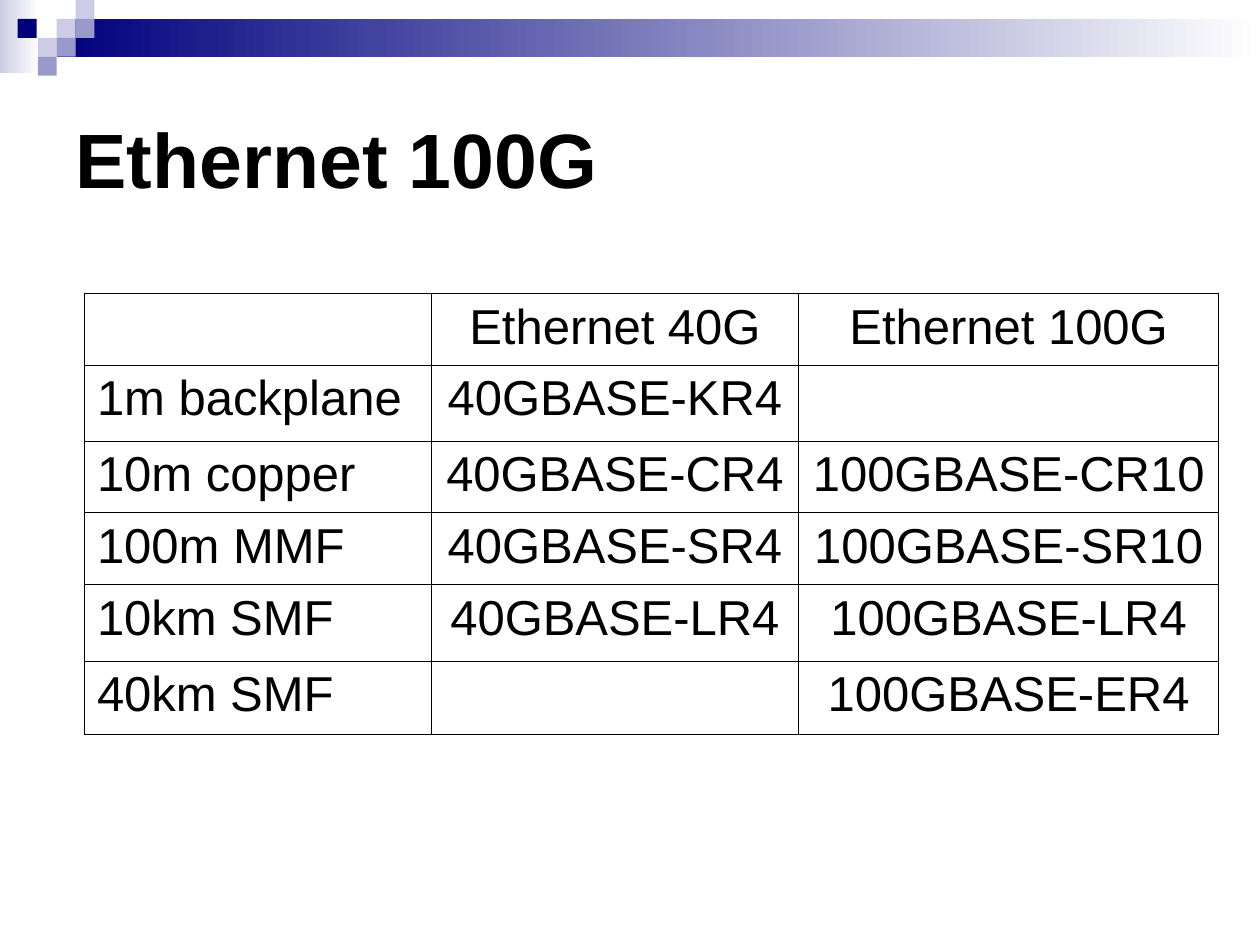
import pptx
import pptx.dml.color
import pptx.enum.shapes
import pptx.enum.text
import pptx.oxml
import pptx.oxml.ns
import pptx.util

Inches = pptx.util.Inches
Pt = pptx.util.Pt
Align = pptx.enum.text.PP_ALIGN
Anchor = pptx.enum.text.MSO_ANCHOR

NAVY, LAVENDER, PERIWINKLE = "00007D", "CCCCE6", "9999CC"
BLACK, WHITE = "000000", "FFFFFF"
THIN, THICK = 0.45, 1.08


def color(value):
    return pptx.dml.color.RGBColor.from_string(value)


class SlideBuilder:
    font_name = "Arial"

    def __init__(self, slide):
        self.slide = slide

    def add_text(self, paragraph, text, size, align, bold=False):
        paragraph.alignment = align
        run = paragraph.add_run()
        run.text = text
        run.font.name = self.font_name
        run.font.size = Pt(size)
        run.font.bold = bold
        run.font.color.rgb = color(BLACK)

    def title(self, text, left, top, width, height):
        heading = self.slide.shapes.title
        heading.left, heading.top = Inches(left), Inches(top)
        heading.width, heading.height = Inches(width), Inches(height)
        frame = heading.text_frame
        frame.word_wrap = True
        frame.auto_size = pptx.enum.text.MSO_AUTO_SIZE.NONE
        frame.vertical_anchor = Anchor.MIDDLE
        self.add_text(frame.paragraphs[0], text, 44, Align.LEFT, bold=True)

    def rectangle(self, left, top, width, height, *fill_colors):
        block = self.slide.shapes.add_shape(
            pptx.enum.shapes.MSO_SHAPE.RECTANGLE,
            Inches(left), Inches(top), Inches(width), Inches(height))
        block.shadow.inherit = False
        block.line.fill.background()
        if len(fill_colors) == 1:
            block.fill.solid()
            block.fill.fore_color.rgb = color(fill_colors[0])
            return
        block.fill.gradient()
        block.fill.gradient_angle = 0
        for stop, value in zip(block.fill.gradient_stops, fill_colors):
            stop.color.rgb = color(value)

    def border(self, cell, side, width):
        cell_properties = cell._tc.get_or_add_tcPr()
        cell_properties.append(pptx.oxml.parse_xml(
            f'<a:ln{side} {pptx.oxml.ns.nsdecls("a")} w="{Pt(width)}">'
            f'<a:solidFill><a:srgbClr val="{BLACK}"/></a:solidFill></a:ln{side}>'))

    def table(self, left, top, column_widths, row_heights, rows):
        grid = self.slide.shapes.add_table(
            len(rows), len(column_widths), Inches(left), Inches(top),
            Inches(sum(column_widths)), Inches(sum(row_heights))).table
        grid.first_row = grid.horz_banding = False
        for column, width in zip(grid.columns, column_widths):
            column.width = Inches(width)
        for row, height in zip(grid.rows, row_heights):
            row.height = Inches(height)
        last_row, last_column = len(rows) - 1, len(column_widths) - 1
        for r, texts in enumerate(rows):
            for c, text in enumerate(texts):
                cell = grid.cell(r, c)
                outer_sides = {"L": c == 0, "R": c == last_column,
                               "T": r == 0, "B": r == last_row}
                for side, is_outer in outer_sides.items():
                    self.border(cell, side, THICK if is_outer else THIN)
                cell.fill.background()
                if text:
                    align = Align.LEFT if c == 0 else Align.CENTER
                    self.add_text(cell.text_frame.paragraphs[0], text, 28, align)


def main():
    presentation = pptx.Presentation()
    presentation.slide_width = Inches(10)
    presentation.slide_height = Inches(7.5)
    builder = SlideBuilder(
        presentation.slides.add_slide(presentation.slide_layouts[5]))

    builder.rectangle(0, 0, 0.31, 0.58, LAVENDER, WHITE)
    builder.rectangle(0.45, 0.15, 9.55, 0.3, NAVY, WHITE)
    mosaic = [
        (0.45, 0.15, LAVENDER), (0.6, 0, LAVENDER), (0.6, 0.15, PERIWINKLE),
        (0.3, 0.3, LAVENDER), (0.14, 0.15, NAVY), (0.45, 0.3, PERIWINKLE),
        (0.3, 0.45, PERIWINKLE),
    ]
    for left, top, tile_color in mosaic:
        builder.rectangle(left, top, 0.15, 0.15, tile_color)

    builder.title("Ethernet 100G", 0.5, 0.5, 9, 1.5)

    media_standards = [
        ("", "Ethernet 40G", "Ethernet 100G"),
        ("1m backplane", "40GBASE-KR4", ""),
        ("10m copper", "40GBASE-CR4", "100GBASE-CR10"),
        ("100m MMF", "40GBASE-SR4", "100GBASE-SR10"),
        ("10km SMF", "40GBASE-LR4", "100GBASE-LR4"),
        ("40km SMF", "", "100GBASE-ER4"),
    ]
    builder.table(0.67, 2.33, [2.75, 2.92, 3.33],
                  [0.57, 0.6, 0.57, 0.57, 0.61, 0.58], media_standards)

    presentation.save("out.pptx")


if __name__ == "__main__":
    main()
